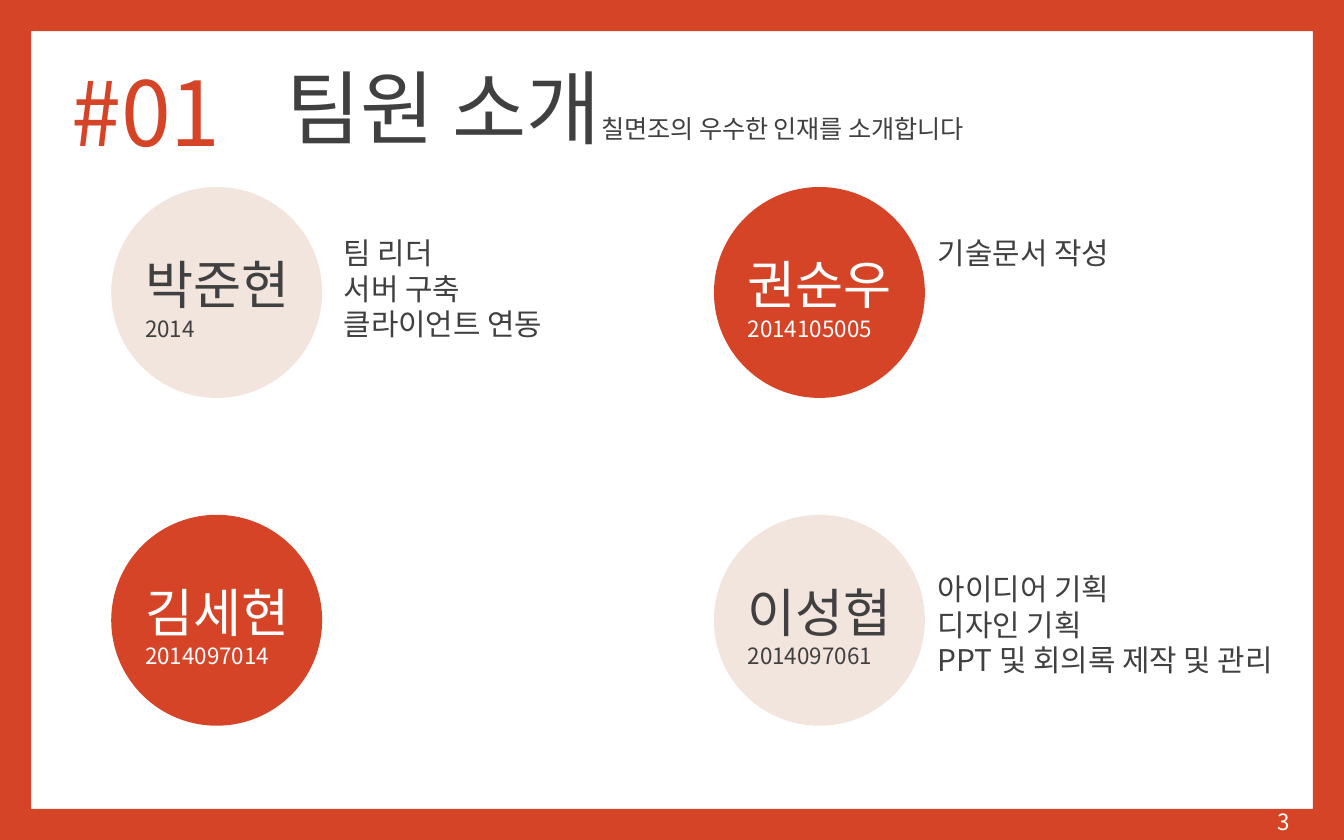
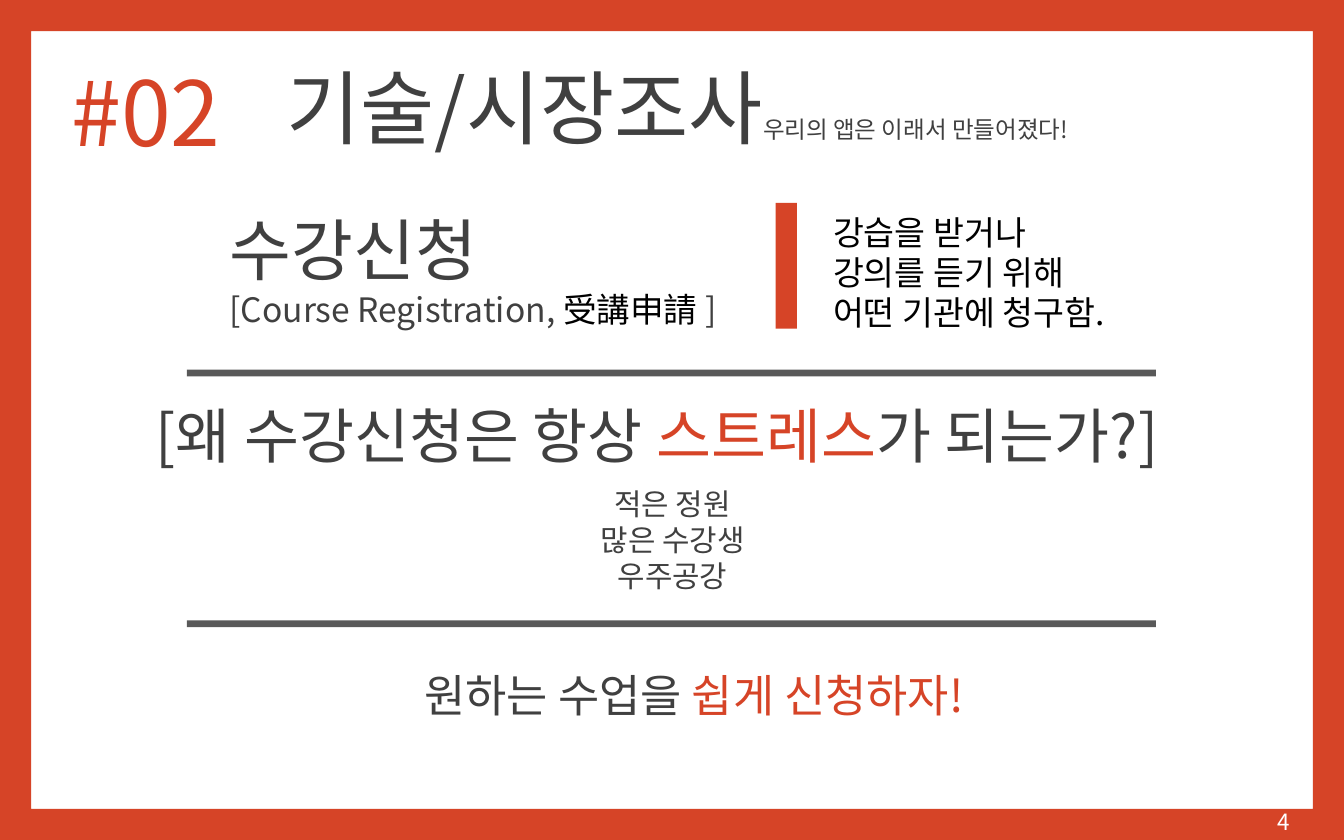
"""Builds a team introduction slide and a market research slide in one red frame."""
from lxml.etree import SubElement
from pptx import Presentation
from pptx.dml.color import RGBColor
from pptx.enum.shapes import MSO_SHAPE
from pptx.enum.text import MSO_ANCHOR, MSO_AUTO_SIZE, PP_ALIGN
from pptx.oxml.ns import qn
from pptx.util import Pt

RED = RGBColor(0xD6, 0x44, 0x27)
BEIGE = RGBColor(0xF2, 0xE5, 0xDD)
DARK = RGBColor(0x40, 0x40, 0x40)
GRAY = RGBColor(0x59, 0x59, 0x59)
BLACK = RGBColor(0, 0, 0)
WHITE = RGBColor(0xFF, 0xFF, 0xFF)
FONT = "Noto Sans CJK KR"
WIDTH, HEIGHT = 720, 450

TEAM_HEADING = dict(number="#01", title="팀원 소개", tagline="칠면조의 우수한 인재를 소개합니다",
                    tagline_size=13.5, title_width=399.6, page="3")
MARKET_HEADING = dict(number="#02", title="기술/시장조사", tagline="우리의 앱은 이래서 만들어졌다!",
                      tagline_size=12.6, title_width=525.6, page="4")

MEMBERS = [
    ("박준현", "2014", ["팀 리더", "서버 구축", "클라이언트 연동"]),
    ("권순우", "2014105005", ["기술문서 작성"]),
    ("김세현", "2014097014", []),
    ("이성협", "2014097061", ["아이디어 기획", "디자인 기획", "PPT 및 회의록 제작 및 관리"]),
]
CIRCLE = 113
CIRCLE_LEFTS, CIRCLE_TOPS = (59.6, 382.5), (100.2, 275.8)
DUTY_LEFTS, DUTY_TOPS = (177.1, 495.4), (121, 301)

TERM = [[("수강신청", 36)],
        [("[Course Registration,\u00a0", 18), ("受講申請\u00a0", 18, BLACK), ("]", 18)]]
MEANING = ["강습을\u00a0받거나", "강의를\u00a0듣기\u00a0위해", "어떤\u00a0기관에\u00a0청구함."]
QUESTION = [("[왜 수강신청은 항상 ", 32), ("스트레스", 32, RED), ("가 되는가?]", 32)]
REASONS = ["적은 정원", "많은 수강생", "우주공강"]
SLOGAN = [("원하는 수업을 ", 24), ("쉽게 신청하자!", 24, RED)]
RULE_TOPS = (198, 332.4)


def place(shape, box):
    shape.left, shape.top, shape.width, shape.height = (Pt(length) for length in box)


def write(frame, paragraphs, color=DARK, align=PP_ALIGN.LEFT, anchor=MSO_ANCHOR.TOP):
    """Fills a text frame with paragraphs of (text, size[, color]) runs."""
    frame.word_wrap = True
    frame.auto_size = MSO_AUTO_SIZE.NONE
    frame.vertical_anchor = anchor
    drop = 0.06 * paragraphs[0][0][1]
    frame.margin_top, frame.margin_bottom = Pt(3.6 + drop), Pt(3.6 - drop)
    for index, runs in enumerate(paragraphs):
        paragraph = frame.add_paragraph() if index else frame.paragraphs[0]
        paragraph.alignment = align
        paragraph.space_before = Pt(0)
        paragraph.line_spacing = Pt(1.2 * runs[0][1])
        for words, size, *own_color in runs:
            run = paragraph.add_run()
            run.text = words
            run.font.size = Pt(size)
            run.font.color.rgb = own_color[0] if own_color else color
            run.font.name = FONT
            SubElement(run.font._element, qn("a:ea"), typeface=FONT)


def add_words(shapes, box, paragraphs, **text_format):
    write(shapes.add_textbox(*(Pt(length) for length in box)).text_frame, paragraphs, **text_format)


def add_block(shapes, preset, box, color):
    block = shapes.add_shape(preset, *(Pt(length) for length in box))
    block.shadow.inherit = False
    block.fill.solid()
    block.fill.fore_color.rgb = color
    block.line.fill.background()
    return block


def lines(texts, size):
    return [[(words, size)] for words in texts]


def add_headed_slide(deck, number, title, tagline, tagline_size, title_width, page):
    slide = deck.slides.add_slide(deck.slide_layouts[1])
    heading, section = slide.shapes.title, slide.placeholders[1]
    place(heading, (146.2, 26.6, title_width, 55.4))
    write(heading.text_frame, [[(title, 43.2), (tagline, tagline_size)]], anchor=MSO_ANCHOR.MIDDLE)
    place(section, (31, 23.8, 126, 56.2))
    write(section.text_frame, [[(number, 48)]], color=RED)
    indents = section.text_frame.paragraphs[0]._p.get_or_add_pPr()
    indents.set("marL", str(Pt(27)))
    indents.set("indent", str(-Pt(27)))
    SubElement(indents, qn("a:buNone"))
    add_words(slide.shapes, (530.6, 427.7, 167.8, 23.8), [[(page, 12)]],
              color=WHITE, align=PP_ALIGN.RIGHT, anchor=MSO_ANCHOR.MIDDLE)
    return slide


def add_member(shapes, index, name, student_id, duties):
    row, column = divmod(index, 2)
    left, top = CIRCLE_LEFTS[column], CIRCLE_TOPS[row]
    is_red = row != column
    badge = shapes.add_group_shape().shapes
    add_block(badge, MSO_SHAPE.OVAL, (left, top, CIRCLE, CIRCLE), RED if is_red else BEIGE)
    add_words(badge, (left + 11, top + 29.5, 98, 55.4), [[(name, 28)], [(student_id, 12)]],
              color=WHITE if is_red else DARK, anchor=MSO_ANCHOR.MIDDLE)
    if duties:
        add_words(shapes, (DUTY_LEFTS[column], DUTY_TOPS[row], 204.5, 64), lines(duties, 16))


def add_border(deck, slide):
    border = add_block(slide.shapes, MSO_SHAPE.FRAME, (0, 0, WIDTH, HEIGHT), RED)
    border.adjustments[0] = 0.037
    deck.slide_layouts[1].shapes[0].element.addprevious(border.element)


deck = Presentation()
deck.slide_width, deck.slide_height = Pt(WIDTH), Pt(HEIGHT)

team = add_headed_slide(deck, **TEAM_HEADING)
add_border(deck, team)
for index, member in enumerate(MEMBERS):
    add_member(team.shapes, index, *member)

market = add_headed_slide(deck, **MARKET_HEADING).shapes
add_words(market, (115.9, 105.8, 304.6, 72.7), TERM)
add_words(market, (439.2, 108.7, 164.2, 72.7), lines(MEANING, 18), color=BLACK)
add_block(market, MSO_SHAPE.RECTANGLE, (415.5, 108.7, 11.5, 67.4), RED)
add_words(market, (76.3, 208, 566.6, 46), [QUESTION])
add_words(market, (313.9, 255.6, 92.9, 65.5), lines(REASONS, 16), align=PP_ALIGN.CENTER)
add_words(market, (220.3, 352.8, 303, 36), [SLOGAN], align=PP_ALIGN.CENTER)
for rule_top in RULE_TOPS:
    add_block(market, MSO_SHAPE.RECTANGLE, (100.1, rule_top, 519.1, 3.6), GRAY)

deck.save("out.pptx")
